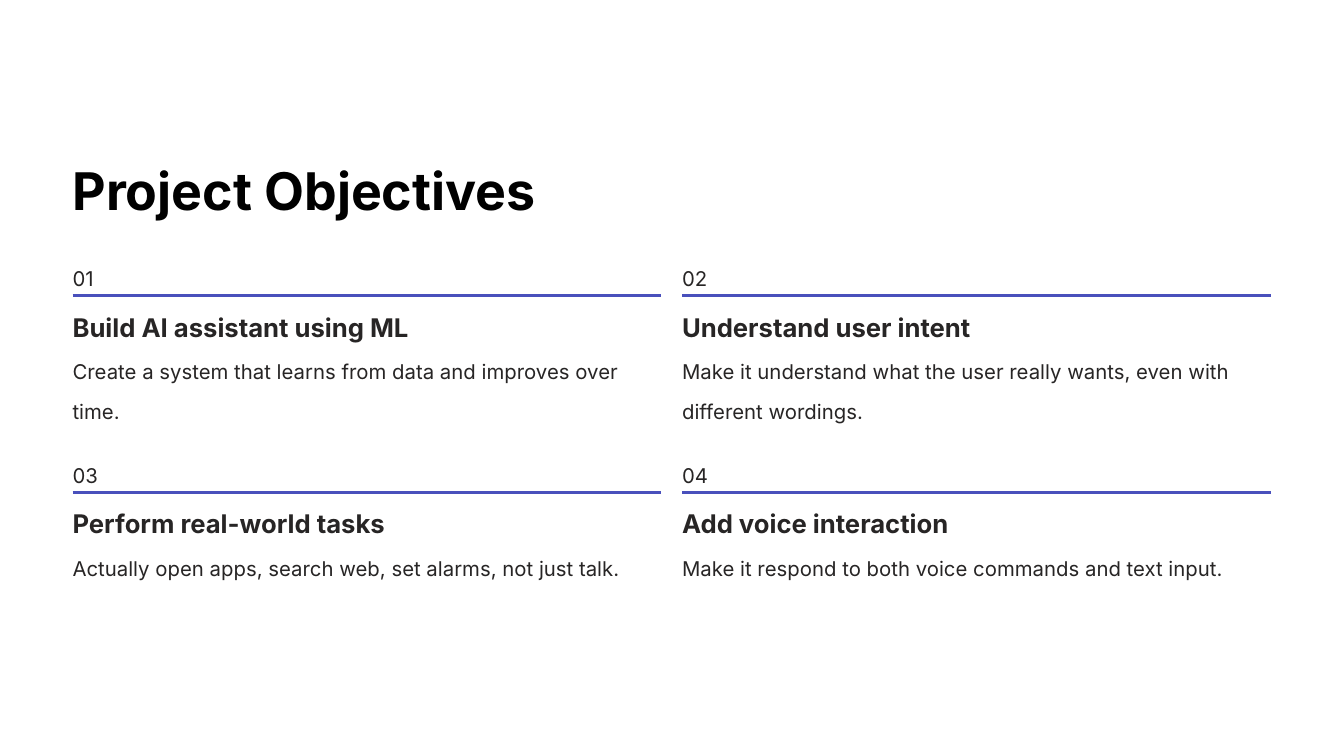
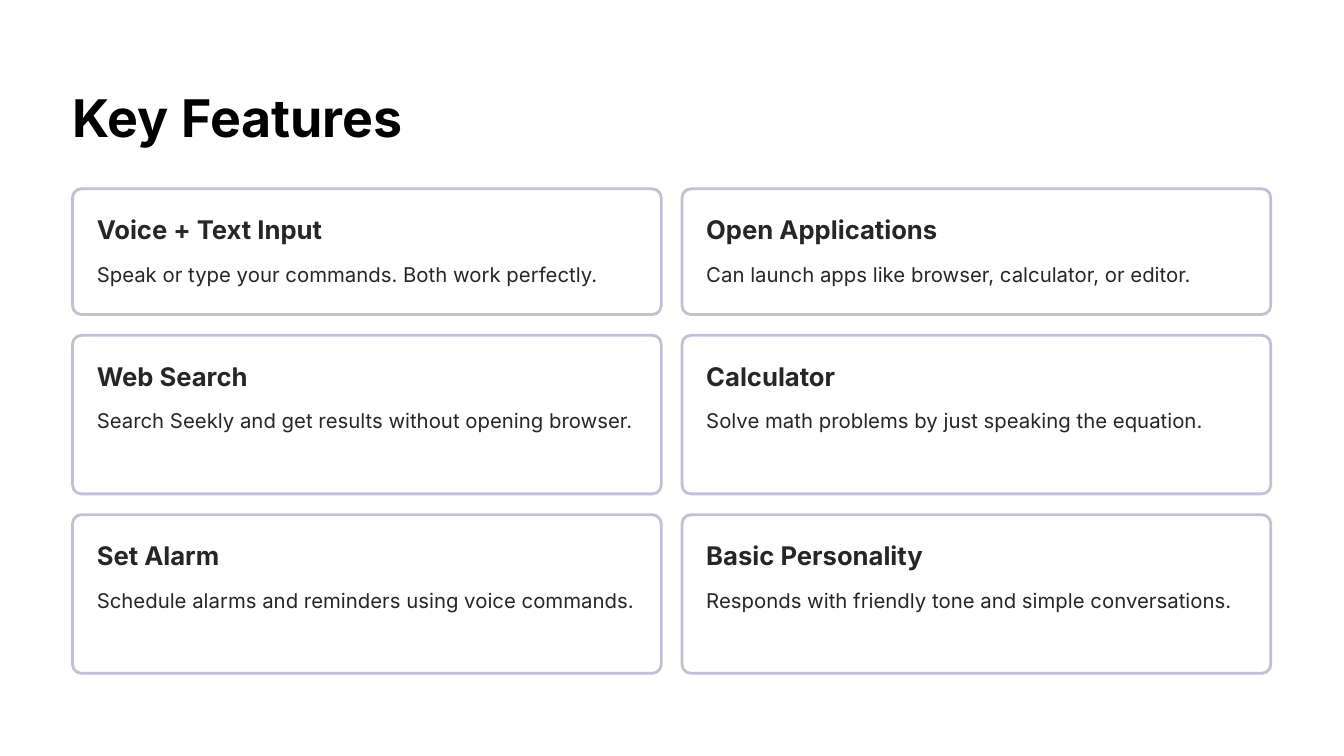
from lxml.etree import SubElement
from pptx import Presentation
from pptx.dml.color import RGBColor
from pptx.enum.shapes import MSO_CONNECTOR as CONN, MSO_SHAPE as SHAPE
from pptx.enum.text import MSO_AUTO_SIZE as FIT
from pptx.oxml.ns import qn
from pptx.util import Inches, Pt

PAPER, BLACK, INK = "FFFFFF", "000000", "272525"
ACCENT, BORDER = "4950BC", "C0C1D7"
FONT = "Inter"

TITLE = {"size": Pt(55.6), "bold": True, "color": BLACK, "spacing": 83.2}
HEADING = {"size": Pt(27.5), "bold": True, "color": INK, "spacing": 41.2}
BODY = {"size": Pt(21.8), "bold": False, "color": INK, "spacing": 42.7}

SLIDE_W, SLIDE_H = 20, 11.25
LEFT, COL_W, COL_STEP = 1.08, 8.76, 9.07
COLUMNS = 2
PAD_X, PAD_Y = 0.36, 0.26
CARD_GAP, RADIUS = 0.31, 0.13

OBJECTIVES = [
    ("Build AI assistant using ML",
     "Create a system that learns from data and improves over time."),
    ("Understand user intent",
     "Make it understand what the user really wants, even with different wordings."),
    ("Perform real-world tasks",
     "Actually open apps, search web, set alarms, not just talk."),
    ("Add voice interaction",
     "Make it respond to both voice commands and text input."),
]

FEATURES = [
    ("Voice + Text Input", "Speak or type your commands. Both work perfectly."),
    ("Open Applications", "Can launch apps like browser, calculator, or editor."),
    ("Web Search", "Search Seekly and get results without opening browser."),
    ("Calculator", "Solve math problems by just speaking the equation."),
    ("Set Alarm", "Schedule alarms and reminders using voice commands."),
    ("Basic Personality", "Responds with friendly tone and simple conversations."),
]
CARD_HEIGHTS = [1.87, 2.36, 2.36]


def rgb(value):
    return RGBColor.from_string(value)


def column_left(index):
    return LEFT + index % COLUMNS * COL_STEP


def add_text(s, x, y, w, h, text, style):
    tf = s.shapes.add_textbox(Inches(x), Inches(y), Inches(w), Inches(h)).text_frame
    frame = {"margin_left": 0, "margin_right": 0, "margin_top": 0,
             "margin_bottom": 0, "word_wrap": True, "auto_size": FIT.NONE}
    for name, value in frame.items():
        setattr(tf, name, value)
    p = tf.paragraphs[0]
    p.line_spacing = Pt(style["spacing"])
    r = p.add_run()
    r.text = text
    for name, value in {"name": FONT, "size": style["size"], "bold": style["bold"]}.items():
        setattr(r.font, name, value)
    r.font.color.rgb = rgb(style["color"])


def add_rule(s, x, y, w):
    sp = s.shapes.add_connector(CONN.STRAIGHT, Inches(x), Inches(y),
                                Inches(x + w), Inches(y))
    sp.line.color.rgb = rgb(ACCENT)
    sp.line.width = Pt(3)
    SubElement(sp._element.spPr, qn("a:effectLst"))


def add_panel(s, kind, x, y, w, h):
    sp = s.shapes.add_shape(kind, Inches(x), Inches(y), Inches(w), Inches(h))
    sp.shadow.inherit = False
    sp.fill.solid()
    sp.fill.fore_color.rgb = rgb(PAPER)
    sp.line.fill.background()
    return sp


def add_titled_slide(prs, title, y):
    s = prs.slides.add_slide(prs.slide_layouts[6])
    add_panel(s, SHAPE.RECTANGLE, 0, 0, SLIDE_W, SLIDE_H)
    add_text(s, LEFT, y, 7.75, 1.15, title, TITLE)
    return s


def add_objective(s, x, y, number, heading, body):
    add_text(s, x, y, 0.62, 0.55, f"{number:02d}", BODY)
    add_rule(s, x, y + 0.67, COL_W)
    add_text(s, x, y + 0.79, COL_W, 0.58, heading, HEADING)
    add_text(s, x, y + 1.39, COL_W, 1.16, body, BODY)


def add_card(s, x, y, h, heading, body):
    sp = add_panel(s, SHAPE.ROUNDED_RECTANGLE, x, y, COL_W, h)
    sp.adjustments[0] = RADIUS / h
    sp.line.color.rgb = rgb(BORDER)
    sp.line.width = Pt(3)
    text_w = COL_W - 2 * PAD_X
    add_text(s, x + PAD_X, y + PAD_Y, text_w, 0.58, heading, HEADING)
    add_text(s, x + PAD_X, y + PAD_Y + 0.6, text_w, 1.16, body, BODY)


def build_objectives(prs):
    s = add_titled_slide(prs, "Project Objectives", 2.13)
    for i, (heading, body) in enumerate(OBJECTIVES):
        y = 3.73 + i // COLUMNS * 2.93
        add_objective(s, column_left(i), y, i + 1, heading, body)


def build_features(prs):
    s = add_titled_slide(prs, "Key Features", 1.04)
    for i, (heading, body) in enumerate(FEATURES):
        row = i // COLUMNS
        y = 2.81 + sum(CARD_HEIGHTS[:row]) + row * CARD_GAP
        add_card(s, column_left(i), y, CARD_HEIGHTS[row], heading, body)


def main():
    prs = Presentation()
    prs.slide_width, prs.slide_height = Inches(SLIDE_W), Inches(SLIDE_H)
    build_objectives(prs)
    build_features(prs)
    prs.save("out.pptx")


if __name__ == "__main__":
    main()
